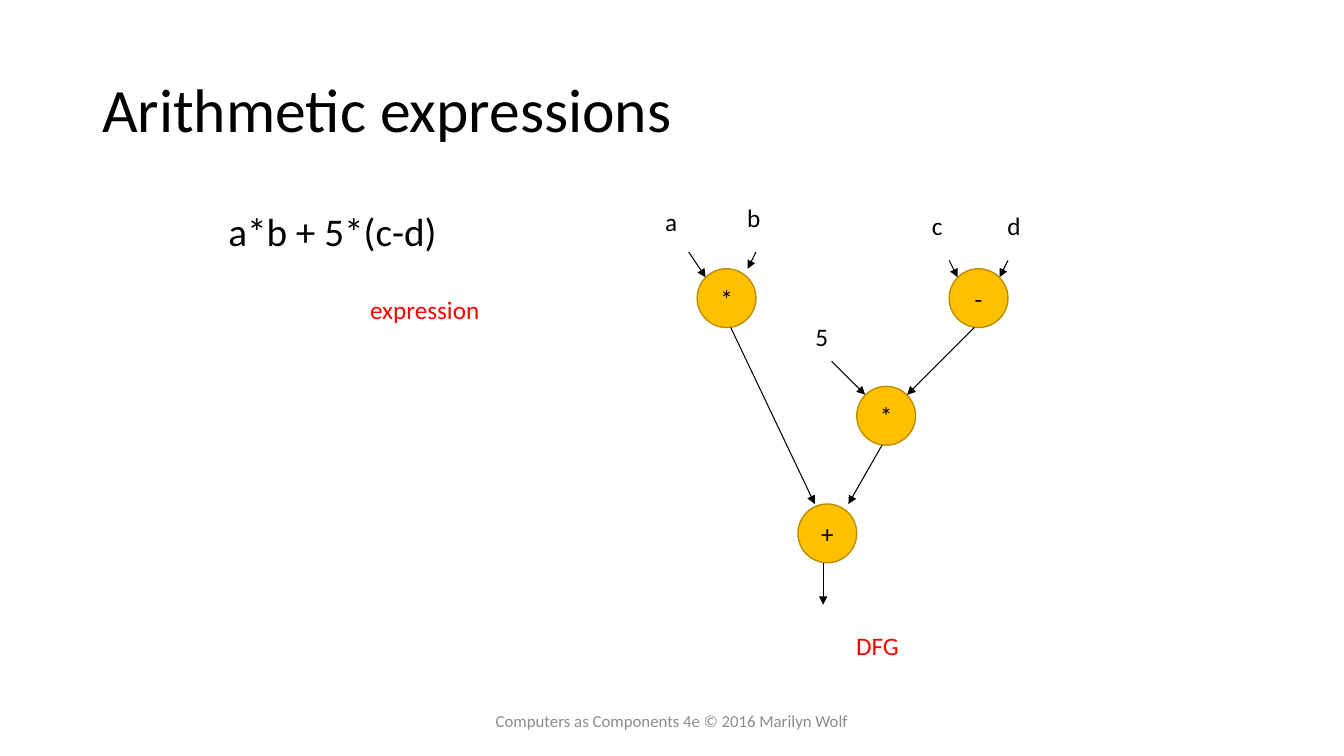
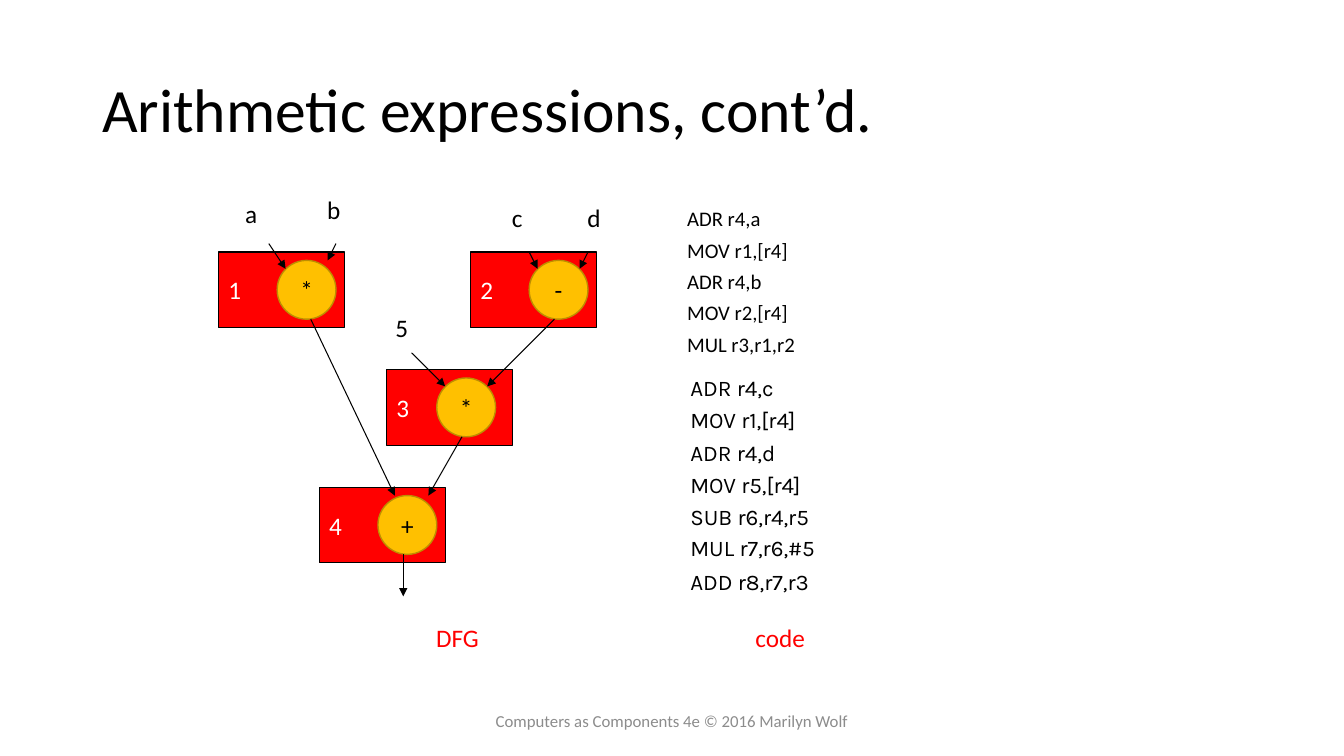
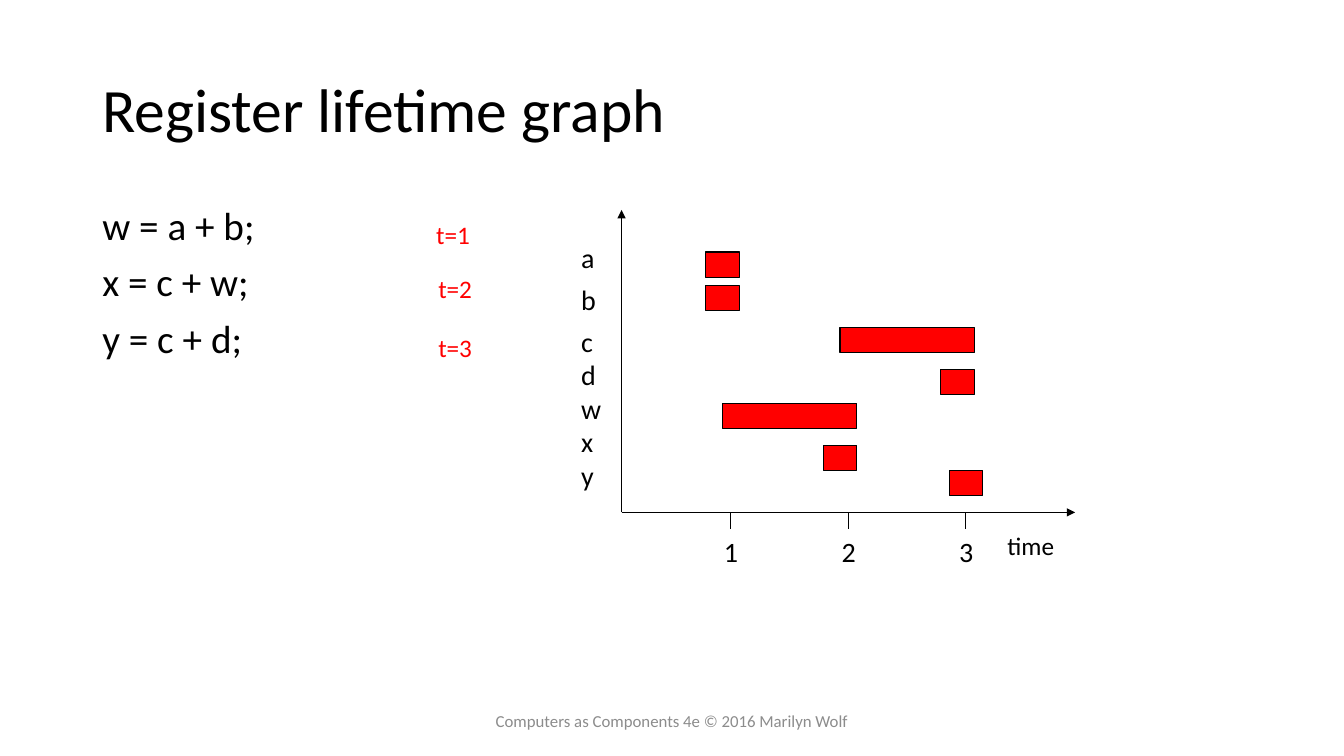
from lxml import etree
from pptx import Presentation
from pptx.dml.color import RGBColor
from pptx.enum.shapes import MSO_CONNECTOR, MSO_SHAPE
from pptx.enum.text import MSO_ANCHOR, MSO_AUTO_SIZE, PP_ALIGN
from pptx.oxml.ns import qn
from pptx.util import Emu, Pt

OVAL, RECT = MSO_SHAPE.OVAL, MSO_SHAPE.RECTANGLE
STRAIGHT = MSO_CONNECTOR.STRAIGHT
TOP, MIDDLE = MSO_ANCHOR.TOP, MSO_ANCHOR.MIDDLE
LEFT, CENTER = PP_ALIGN.LEFT, PP_ALIGN.CENTER
FIT = MSO_AUTO_SIZE.SHAPE_TO_FIT_TEXT

BLACK = RGBColor(0, 0, 0)
WHITE = RGBColor(255, 255, 255)
RED = RGBColor(255, 0, 0)
GOLD = RGBColor(0xFF, 0xC0, 0)
DARK_GOLD = RGBColor(0xBD, 0x8E, 0)
GREY = RGBColor(0x8C, 0x8C, 0x8C)

EMU_PER_PX = 9525
WIDTH, HEIGHT = 1280, 720
FOOTER = "Computers as Components 4e © 2016 Marilyn Wolf"

NODE = 56
NODES = [("*", 264, 248), ("-", 504, 248), ("*", 416, 360), ("+", 360, 472)]
EDGES = [
    (256, 232, 272, 256), (320, 232, 312, 248),
    (504, 240, 512, 256), (560, 240, 552, 256),
    (296, 304, 376, 472), (384, 528, 384, 568),
    (528, 304, 464, 368), (392, 336, 424, 368),
    (440, 416, 408, 472),
]
OPERANDS = [("a", 224, 184, 31), ("b", 302, 180, 33), ("c", 478, 188, 30),
            ("d", 550, 188, 33), ("5", 367, 293, 32)]


def px(length):
    return Emu(length * EMU_PER_PX)


def set_all(target, **values):
    for name, value in values.items():
        setattr(target, name, value)


class Deck:
    def __init__(self):
        self.prs = Presentation()
        set_all(self.prs, slide_width=px(WIDTH), slide_height=px(HEIGHT))
        self.slide = None

    def new_slide(self, title):
        self.slide = self.prs.slides.add_slide(self.prs.slide_layouts[6])
        self.text([title], 88, 38, 1104, 139, size=44, anchor=MIDDLE, spacing=0.9)
        self.text([FOOTER], 424, 667, 432, 38, size=12, color=GREY,
                  anchor=MIDDLE, align=CENTER)

    def fill_text(self, frame, lines, size=18, color=BLACK, font="Calibri",
                  align=LEFT, anchor=TOP, spacing=None, gap=0):
        """Put lines in a text frame; gap is the space in points between them."""
        frame.vertical_anchor = anchor
        for number, line in enumerate(lines):
            para = frame.add_paragraph() if number else frame.paragraphs[0]
            run = para.add_run()
            run.text = line
            set_all(para, alignment=align, line_spacing=spacing,
                    space_before=Pt(gap if number else 0))
            set_all(run.font, size=Pt(size), name=font)
            run.font.color.rgb = color

    def text(self, lines, x, y, w, h, **style):
        frame = self.slide.shapes.add_textbox(px(x), px(y), px(w), px(h)).text_frame
        frame.word_wrap = True
        self.fill_text(frame, lines, **style)
        return frame

    def label(self, words, x, y, w, h=38, **style):
        """One unwrapped line in a box that fits its text."""
        set_all(self.text([words], x, y, w, h, **style),
                word_wrap=False, auto_size=FIT)

    def shape(self, kind, x, y, w, h, fill, line, weight):
        shape = self.slide.shapes.add_shape(kind, px(x), px(y), px(w), px(h))
        shape.shadow.inherit = False
        shape.fill.solid()
        shape.fill.fore_color.rgb = fill
        shape.line.color.rgb = line
        shape.line.width = Pt(weight)
        return shape

    def bar(self, x, y, w, h):
        return self.shape(RECT, x, y, w, h, RED, BLACK, 0.75)

    def step(self, number, x, y):
        frame = self.bar(x, y, 120, 72).text_frame
        self.fill_text(frame, [number], color=WHITE, anchor=MIDDLE)

    def node(self, operator, x, y):
        frame = self.shape(OVAL, x, y, NODE, NODE, GOLD, DARK_GOLD, 1).text_frame
        frame.word_wrap = False
        self.fill_text(frame, [operator], align=CENTER, anchor=MIDDLE)

    def line(self, x1, y1, x2, y2, arrow=True):
        line = self.slide.shapes.add_connector(STRAIGHT, px(x1), px(y1), px(x2), px(y2))
        line.line.color.rgb = BLACK
        line.line.width = Pt(0.75)
        properties = line._element.spPr
        if arrow:
            etree.SubElement(properties.find(qn("a:ln")), qn("a:tailEnd"), type="triangle")
        etree.SubElement(properties, qn("a:effectLst"))

    def data_flow_graph(self, dx=0, dy=0):
        for operator, x, y in NODES:
            self.node(operator, x + dx, y + dy)
        for x1, y1, x2, y2 in EDGES:
            self.line(x1 + dx, y1 + dy, x2 + dx, y2 + dy)
        for name, x, y, w in OPERANDS:
            self.label(name, x + dx, y + dy, w)
        self.label("DFG", 406 + dx, 588 + dy, 60, color=RED)


def expression_slide(deck):
    deck.new_slide("Arithmetic expressions")
    deck.text(["a*b + 5*(c-d)"], 208, 198, 421, 58, size=28, spacing=0.9)
    deck.label("expression", 343, 276, 125, color=RED)
    deck.data_flow_graph(400, 8)


def code_slide(deck):
    deck.new_slide("Arithmetic expressions, cont’d.")
    for number, x, y in [("1", 208, 240), ("2", 448, 240), ("3", 368, 352), ("4", 304, 464)]:
        deck.step(number, x, y)
    deck.data_flow_graph()
    deck.text(["ADR r4,a", "MOV r1,[r4]", "ADR r4,b", "MOV r2,[r4]", "MUL r3,r1,r2"],
              645, 198, 421, 154, size=14.8, spacing=0.7, gap=10)
    blocks = [
        (352, 154, ["ADR r4,c", "MOV r1,[r4]", "ADR r4,d", "MOV r5,[r4]", "SUB r6,r4,r5"]),
        (504, 32, ["MUL r7,r6,#5"]),
        (536, 32, ["ADD r8,r7,r3"]),
    ]
    for y, h, code in blocks:
        deck.text(code, 648, y, 421, h, size=16, font="Karla", gap=3.7)
    deck.label("code", 710, 588, 67, color=RED)


def lifetime_slide(deck):
    deck.new_slide("Register lifetime graph")
    deck.text(["w = a + b;", "x = c + w;", "y = c + d;"], 88, 192, 544, 457,
              size=28, spacing=0.9, gap=10)
    for words, x, y in [("t=1", 406, 204), ("t=2", 408, 256), ("t=3", 408, 312)]:
        deck.label(words, x, y, 52, color=RED)

    origin_x, origin_y = 592, 488
    deck.line(origin_x, origin_y, 1024, origin_y)
    deck.line(origin_x, origin_y, origin_x, 200)
    deck.label("time", 950, 500, 64)
    for number in range(3):
        tick = 696 + 112 * number
        deck.line(tick, origin_y, tick, origin_y + 16, arrow=False)
        deck.label(str(number + 1), tick - 16, origin_y + 16, 33, 42, size=20)

    # variable, label top, label width, bar left, bar top, bar width
    lifetimes = [
        ("a", 224, 33, 672, 240, 32),
        ("b", 264, 34, 672, 272, 32),
        ("c", 304, 31, 800, 312, 128),
        ("d", 336, 34, 896, 352, 32),
        ("w", 368, 38, 688, 384, 128),
        ("x", 400, 31, 784, 424, 32),
        ("y", 432, 33, 904, 448, 32),
    ]
    for variable, label_y, label_w, x, y, w in lifetimes:
        deck.label(variable, 544, label_y, label_w, 42, size=20)
        deck.bar(x, y, w, 24)


def main():
    deck = Deck()
    expression_slide(deck)
    code_slide(deck)
    lifetime_slide(deck)
    deck.prs.save("out.pptx")


if __name__ == "__main__":
    main()
